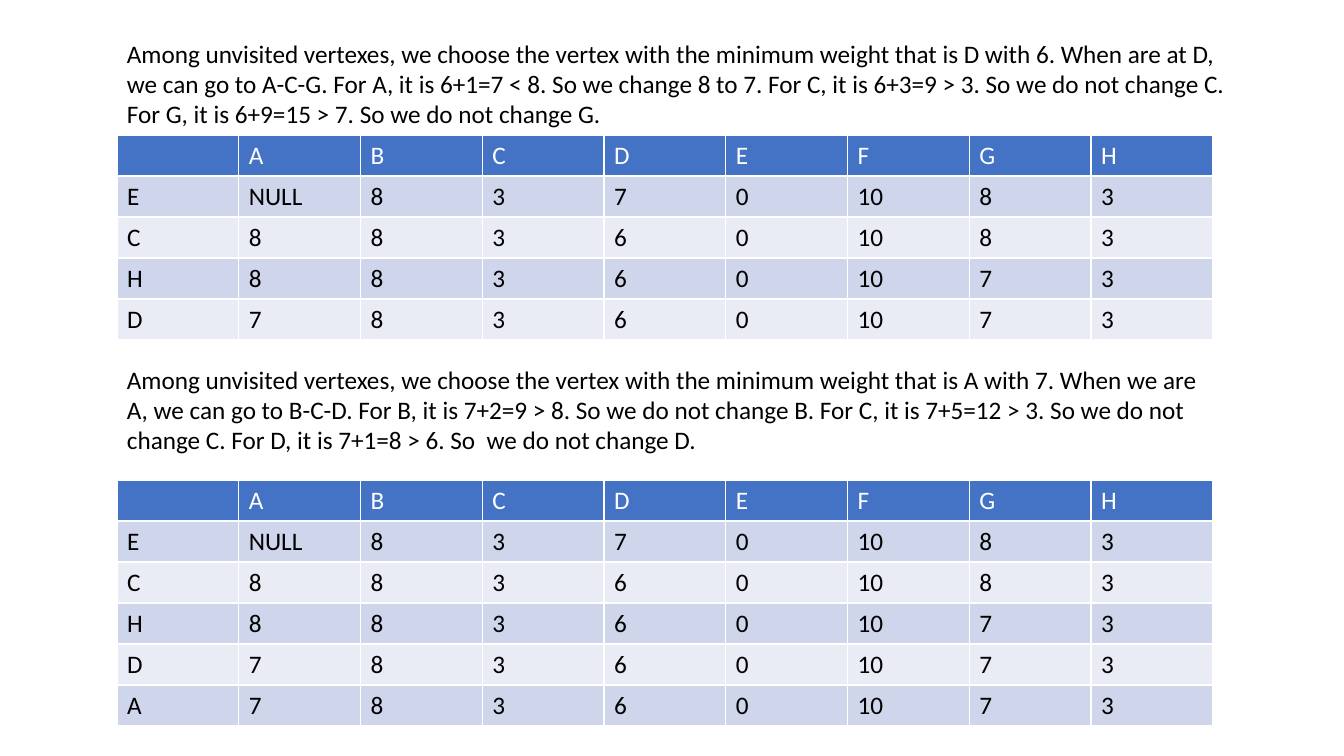
from pptx import Presentation
from pptx.dml.color import RGBColor
from pptx.enum.text import MSO_AUTO_SIZE
from pptx.util import Emu, Pt

FIT_SHAPE = MSO_AUTO_SIZE.SHAPE_TO_FIT_TEXT
BLACK = RGBColor(0x00, 0x00, 0x00)
WHITE = RGBColor(0xFF, 0xFF, 0xFF)
HEADER_BLUE = RGBColor(0x44, 0x72, 0xC4)
BANDS = (RGBColor(0xE9, 0xEB, 0xF5), RGBColor(0xCF, 0xD5, 0xEA))

FONT = "Calibri"
FONT_SIZE = Pt(18)
ROW_HEIGHT = 41
BLANK_LAYOUT = 6

HEADER = ["", "A", "B", "C", "D", "E", "F", "G", "H"]
VISITS = [
    ["E", "NULL", "8", "3", "7", "0", "10", "8", "3"],
    ["C", "8", "8", "3", "6", "0", "10", "8", "3"],
    ["H", "8", "8", "3", "6", "0", "10", "7", "3"],
    ["D", "7", "8", "3", "6", "0", "10", "7", "3"],
    ["A", "7", "8", "3", "6", "0", "10", "7", "3"],
]
STEP_D = (
    "Among unvisited vertexes, we choose the vertex with the minimum weight "
    "that is D with 6. When are at D, we can go to A-C-G. For A, it is "
    "6+1=7 < 8. So we change 8 to 7. For C, it is 6+3=9 > 3. So we do not "
    "change C. For G, it is 6+9=15 > 7. So we do not change G."
)
STEP_A = (
    "Among unvisited vertexes, we choose the vertex with the minimum weight "
    "that is A with 7. When we are A, we can go to B-C-D. For B, it is "
    "7+2=9 > 8. So we do not change B. For C, it is 7+5=12 > 3. So we do not "
    "change C. For D, it is 7+1=8 > 6. So  we do not change D."
)


def px(length):
    """Turn pixels (100.8 to the inch) into EMU."""
    return Emu(round(length * 914400 / 100.8))


def add_run(paragraph, text, color):
    run = paragraph.add_run()
    run.text = text
    run.font.name = FONT
    run.font.size = FONT_SIZE
    run.font.bold = False
    run.font.color.rgb = color


def add_explanation(slide, text, left, top, width, height):
    box = slide.shapes.add_textbox(px(left), px(top), px(width), px(height))
    frame = box.text_frame
    frame.word_wrap = True
    frame.auto_size = FIT_SHAPE
    add_run(frame.paragraphs[0], text, BLACK)


def add_weight_table(slide, visits, left, top, width):
    rows = [HEADER] + visits
    table = slide.shapes.add_table(
        len(rows), len(HEADER), px(left), px(top),
        px(width), px(ROW_HEIGHT * len(rows)),
    ).table
    for row_index, values in enumerate(rows):
        is_header = row_index == 0
        fill_color = HEADER_BLUE if is_header else BANDS[row_index % 2]
        for column_index, value in enumerate(values):
            cell = table.cell(row_index, column_index)
            cell.fill.solid()
            cell.fill.fore_color.rgb = fill_color
            if value:
                add_run(cell.text_frame.paragraphs[0], value,
                        WHITE if is_header else BLACK)


def main():
    presentation = Presentation()
    presentation.slide_width = px(1344)
    presentation.slide_height = px(756)
    slide = presentation.slides.add_slide(
        presentation.slide_layouts[BLANK_LAYOUT])

    # Visiting D
    add_explanation(slide, STEP_D, 117, 33, 1137, 102)
    add_weight_table(slide, VISITS[:4], 117, 135, 1096)

    # Visiting A
    add_explanation(slide, STEP_A, 117, 359, 1096, 102)
    add_weight_table(slide, VISITS, 117, 480, 1096)

    presentation.save("out.pptx")


if __name__ == "__main__":
    main()
